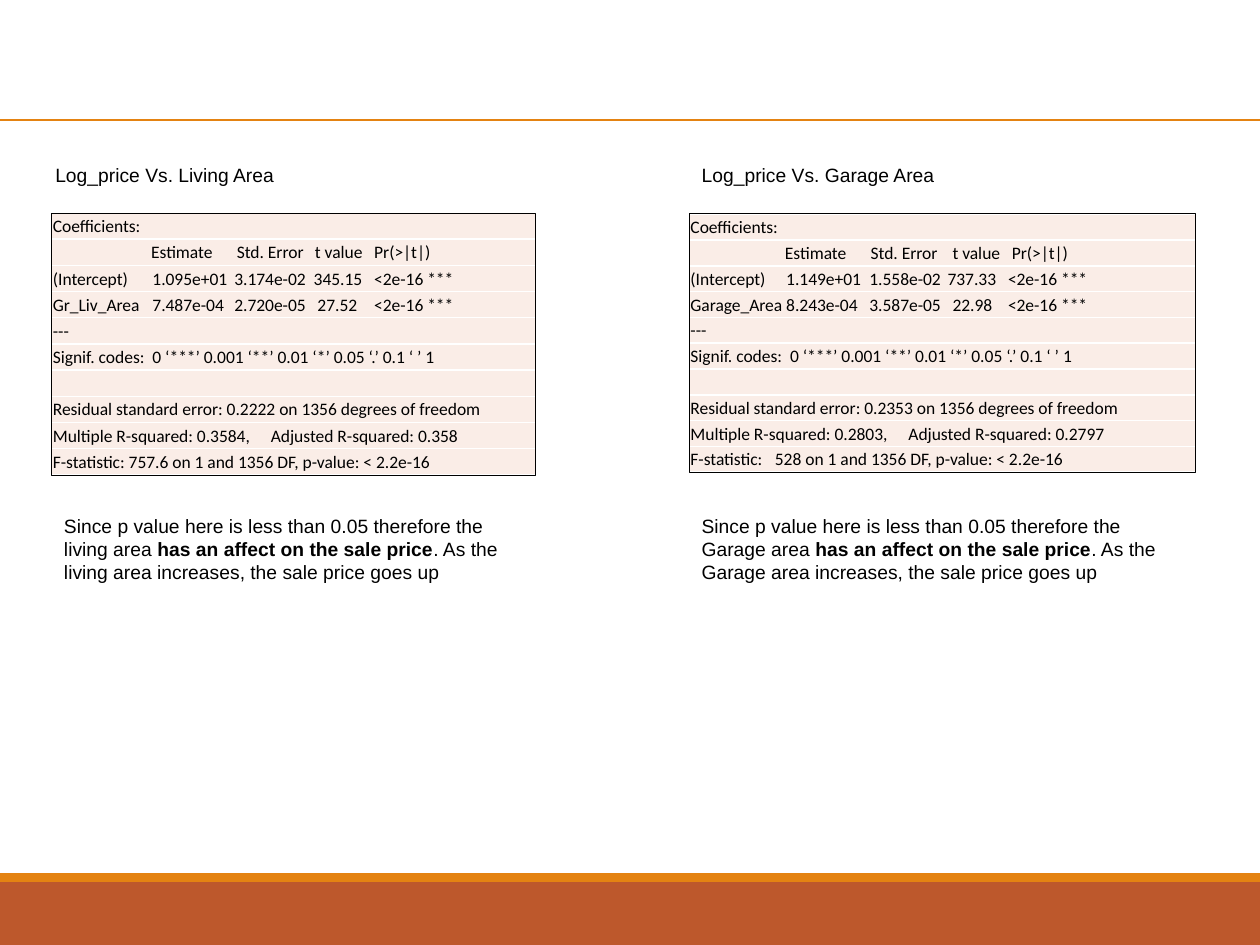
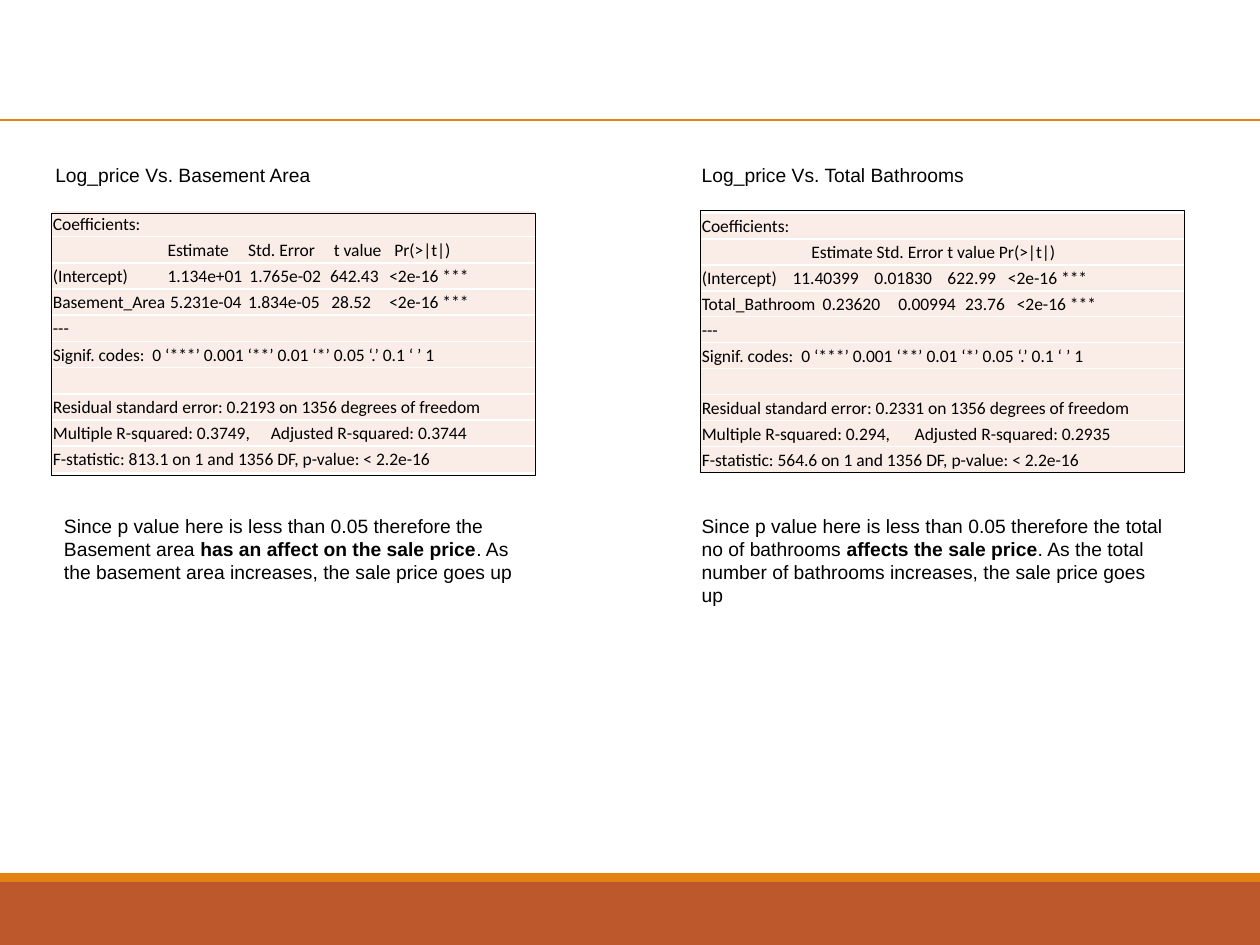
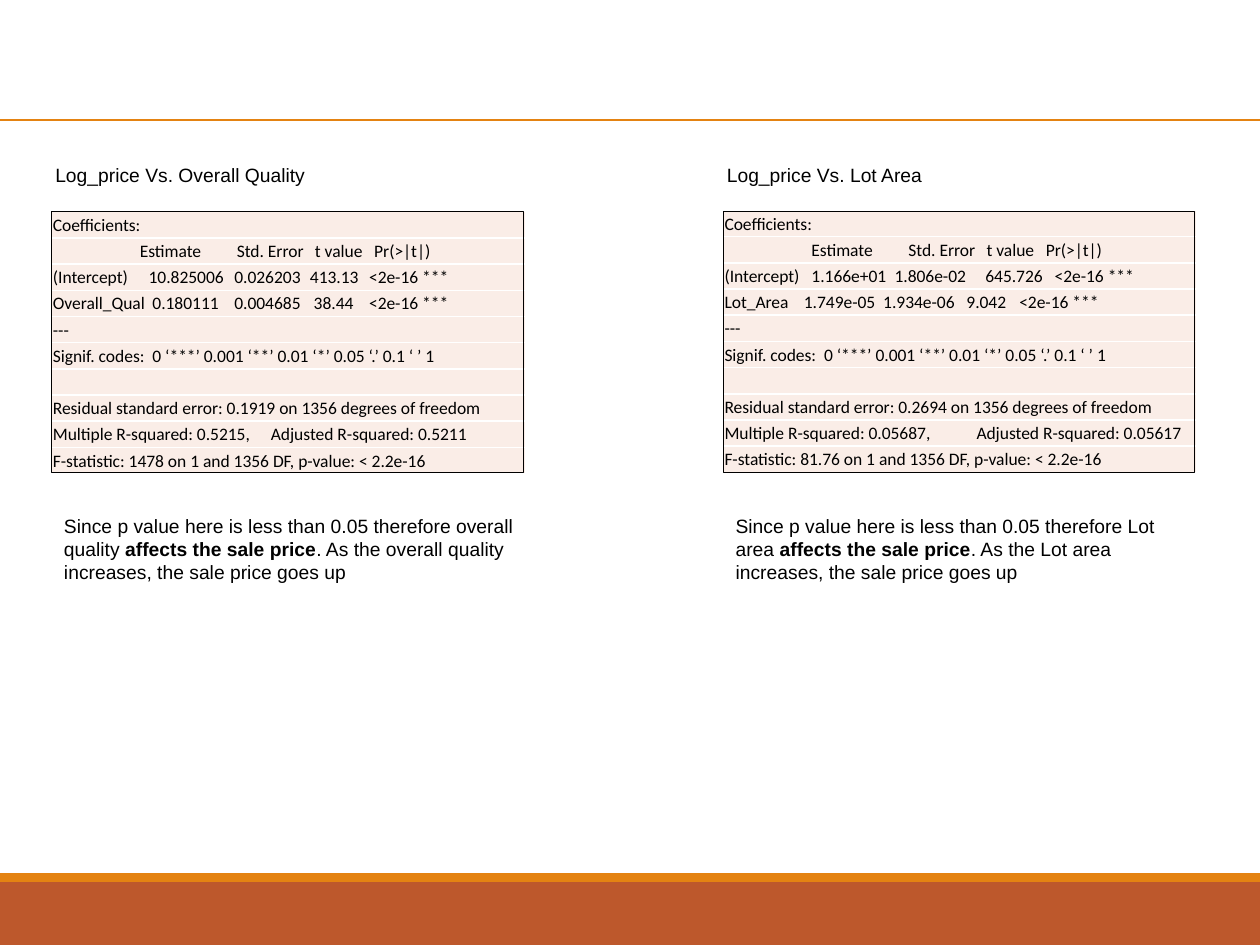
from dataclasses import dataclass
from lxml.etree import SubElement
from pptx import Presentation
from pptx.dml.color import RGBColor
from pptx.enum.shapes import MSO_CONNECTOR, MSO_SHAPE
from pptx.enum.text import MSO_ANCHOR, MSO_AUTO_SIZE
from pptx.oxml.ns import qn
from pptx.util import Inches, Pt

COLORS = {"band": "BD582C", "accent": "E48312", "cell": "FAEDE7",
          "grid": "FFFFFF", "ink": "000000"}
HEAD = "\tEstimate\tStd. Error\tt value\tPr(>|t|)"
STRONG = "has an affect on the sale price"
PLAIN = "affects the sale price"


def color(name):
    return RGBColor.from_string(COLORS[name])


def write(frame, parts, size=11, font="Arial", stops=()):
    """Fill a frame with (text, bold) parts; stops are tab places in inches."""
    par = frame.paragraphs[0]
    for text, bold in parts:
        run = par.add_run()
        run.text = text
        run.font.size, run.font.name, run.font.bold = Pt(size), font, bold
        run.font.color.rgb = color("ink")
    if stops:
        tabs = SubElement(par._p.get_or_add_pPr(), qn("a:tabLst"))
        for stop in stops:
            SubElement(tabs, qn("a:tab"), pos=str(Inches(stop)), algn="l")
    if not parts:
        SubElement(par._p, qn("a:endParaRPr"), sz=str(size * 100))


@dataclass
class Model:
    """One regression summary; each coefficient row is (text, tab stops)."""
    title: str
    title_x: float
    note_x: float
    note_w: float
    table: tuple
    frame: tuple
    rows: list
    error: str
    fit: tuple
    stat: tuple
    subject: str
    claim: str
    cause: str

    def lines(self):
        square, adjusted, stop = self.fit
        return [
            ("Coefficients:", ()),
            *self.rows,
            ("---", ()),
            ("Signif. codes:\t0 ‘***’ 0.001 ‘**’ 0.01 ‘*’ 0.05 ‘.’ 0.1 ‘ ’ 1", (0.79,)),
            ("", ()),
            (f"Residual standard error: {self.error} on 1356 degrees of freedom", ()),
            (f"Multiple R-squared: {square},\tAdjusted R-squared: {adjusted}", (stop,)),
            (f"F-statistic:{self.stat[0]} on 1 and 1356 DF, p-value: < 2.2e-16", self.stat[1]),
        ]

    def note(self):
        return [(f"Since p value here is less than 0.05 therefore {self.subject} ", False),
                (self.claim, True),
                (f". As {self.cause} increases, the sale price goes up", False)]


class Deck:
    def __init__(self):
        self.prs = Presentation()
        self.prs.slide_width, self.prs.slide_height = Inches(10), Inches(7.5)

    def start(self):
        self.slide = self.prs.slides.add_slide(self.prs.slide_layouts[6])
        self.shapes = self.slide.shapes
        self.box((0, 7, 10, 0.5), fill="band")
        self.box((0, 6.93, 10, 0.07), fill="accent")
        self.rule(0.95)

    def box(self, area, fill=None, line=None):
        shape = self.shapes.add_shape(MSO_SHAPE.RECTANGLE, *map(Inches, area))
        shape.shadow.inherit = False
        if fill:
            shape.fill.solid()
            shape.fill.fore_color.rgb = color(fill)
        else:
            shape.fill.background()
        if line:
            shape.line.color.rgb = color(line)
            shape.line.width = Pt(0.25)
        else:
            shape.line.fill.background()

    def rule(self, y):
        line = self.shapes.add_connector(
            MSO_CONNECTOR.STRAIGHT, 0, Inches(y), Inches(10), Inches(y))
        line.line.color.rgb = color("accent")
        line.line.width = Pt(1.25)
        SubElement(line._element.spPr, qn("a:effectLst"))

    def text(self, area, parts):
        frame = self.shapes.add_textbox(*map(Inches, area)).text_frame
        frame.word_wrap = True
        frame.auto_size = MSO_AUTO_SIZE.SHAPE_TO_FIT_TEXT
        write(frame, parts)

    def table(self, area, lines):
        grid = self.shapes.add_table(len(lines), 1, *map(Inches, area)).table
        grid.first_row = grid.horz_banding = False
        for row, (text, stops) in zip(grid.rows, lines):
            row.height = Inches(area[3] / len(lines))
            cell = row.cells[0]
            self.edge(cell)
            cell.fill.solid()
            cell.fill.fore_color.rgb = color("cell")
            cell.vertical_anchor = MSO_ANCHOR.MIDDLE
            cell.margin_left = cell.margin_top = cell.margin_right = Inches(0.01)
            cell.margin_bottom = 0
            write(cell.text_frame, [(text, False)] if text else [],
                  size=10, font="Calibri", stops=stops)

    def edge(self, cell):
        """Give a cell a thin border on every side."""
        props = cell._tc.get_or_add_tcPr()
        for side in "LRTB":
            line = SubElement(props, qn(f"a:ln{side}"), w=str(Pt(1)))
            fill = SubElement(line, qn("a:solidFill"))
            SubElement(fill, qn("a:srgbClr"), val=COLORS["grid"])

    def panel(self, model):
        self.table(model.table, model.lines())
        self.text((model.note_x, 4.03, model.note_w, 0.66), model.note())
        self.text((model.title_x, 1.25, 3.12, 0.29),
                  [(f"Log_price Vs. {model.title}", False)])
        self.box(model.frame, line="ink")


PAGES = [
    (Model("Living Area", 0.34, 0.41, 3.84,
           (0.41, 1.69, 3.84, 2.08), (0.41, 1.69, 3.84, 2.08),
           [(HEAD, (0.78, 1.46, 2.08, 2.55)),
            ("(Intercept)\t1.095e+01\t3.174e-02\t345.15\t<2e-16 ***", (0.79, 1.44, 2.07, 2.55)),
            ("Gr_Liv_Area\t7.487e-04\t2.720e-05\t27.52\t<2e-16 ***", (0.79, 1.44, 2.1, 2.55))],
           "0.2222", ("0.3584", "0.358", 1.73), (" 757.6", ()),
           "the living area", STRONG, "the living area"),
     Model("Garage Area", 5.47, 5.47, 3.84,
           (5.47, 1.7, 4.02, 2.05), (5.47, 1.69, 4.02, 2.06),
           [(HEAD, (0.75, 1.43, 2.08, 2.55)),
            ("(Intercept)\t1.149e+01\t1.558e-02\t737.33\t<2e-16 ***", (0.76, 1.42, 2.04, 2.52)),
            ("Garage_Area\t8.243e-04\t3.587e-05\t22.98\t<2e-16 ***", (0.76, 1.42, 2.08, 2.52))],
           "0.2353", ("0.2803", "0.2797", 1.73), ("\t528", (0.67,)),
           "the Garage area", STRONG, "the Garage area")),
    (Model("Basement Area", 0.34, 0.41, 3.84,
           (0.41, 1.67, 3.84, 2.08), (0.41, 1.69, 3.84, 2.08),
           [(HEAD, (0.91, 1.55, 2.23, 2.71)),
            ("(Intercept)\t1.134e+01\t1.765e-02\t642.43\t<2e-16 ***", (0.91, 1.56, 2.2, 2.67)),
            ("Basement_Area\t5.231e-04\t1.834e-05\t28.52\t<2e-16 ***", (0.93, 1.55, 2.21, 2.67))],
           "0.2193", ("0.3749", "0.3744", 1.73), (" 813.1", ()),
           "the Basement area", STRONG, "the basement area"),
     Model("Total Bathrooms", 5.47, 5.47, 3.93,
           (5.56, 1.69, 3.84, 2.06), (5.56, 1.67, 3.84, 2.08),
           [("\tEstimate Std. Error t value Pr(>|t|)", (0.87,)),
            ("(Intercept)\t11.40399\t0.01830\t622.99\t<2e-16 ***", (0.72, 1.37, 1.95, 2.43)),
            ("Total_Bathroom\t0.23620\t0.00994\t23.76\t<2e-16 ***", (0.96, 1.56, 2.09, 2.5))],
           "0.2331", ("0.294", "0.2935", 1.69), (" 564.6", ()),
           "the total no of bathrooms", PLAIN, "the total number of bathrooms")),
    (Model("Overall Quality", 0.34, 0.41, 3.84,
           (0.41, 1.68, 3.76, 2.08), (0.41, 1.68, 3.74, 2.07),
           [(HEAD, (0.69, 1.46, 2.08, 2.55)),
            ("(Intercept)\t10.825006\t0.026203\t413.13\t<2e-16 ***", (0.76, 1.44, 2.04, 2.51)),
            ("Overall_Qual\t0.180111\t0.004685\t38.44\t<2e-16 ***", (0.79, 1.44, 2.07, 2.51))],
           "0.1919", ("0.5215", "0.5211", 1.73), (" 1478", ()),
           "overall quality", PLAIN, "the overall quality"),
     Model("Lot Area", 5.67, 5.74, 3.84,
           (5.74, 1.67, 3.76, 2.08), (5.74, 1.68, 3.74, 2.07),
           [(HEAD, (0.69, 1.46, 2.08, 2.55)),
            ("(Intercept)\t1.166e+01\t1.806e-02\t645.726\t<2e-16 ***", (0.69, 1.35, 2.07, 2.62)),
            ("Lot_Area\t1.749e-05\t1.934e-06\t9.042\t<2e-16 ***", (0.63, 1.26, 1.92, 2.34))],
           "0.2694", ("0.05687", "0.05617", 2), (" 81.76", ()),
           "Lot area", PLAIN, "the Lot area")),
]


def main():
    deck = Deck()
    for page in PAGES:
        deck.start()
        for model in page:
            deck.panel(model)
    deck.prs.save("out.pptx")


if __name__ == "__main__":
    main()
